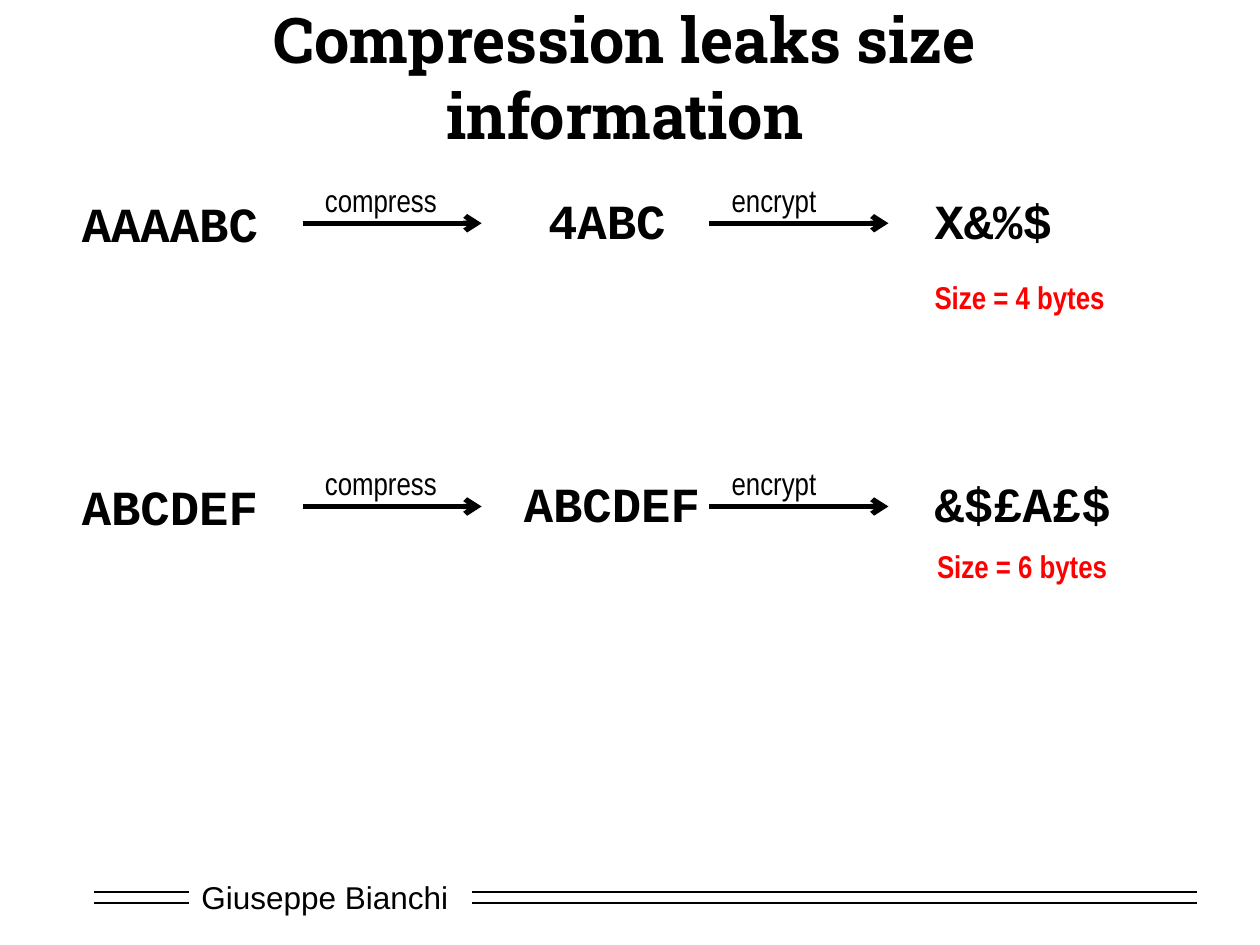
from dataclasses import dataclass

from lxml import etree
from pptx import Presentation
from pptx.dml.color import RGBColor
from pptx.enum.shapes import MSO_CONNECTOR
from pptx.enum.text import MSO_ANCHOR, MSO_AUTO_SIZE, PP_ALIGN
from pptx.oxml.ns import qn
from pptx.util import Cm, Pt

STRAIGHT = MSO_CONNECTOR.STRAIGHT
MIDDLE = MSO_ANCHOR.MIDDLE
CENTER = PP_ALIGN.CENTER
NO_AUTOFIT = MSO_AUTO_SIZE.NONE

BLACK, WHITE, RED = "000000", "FFFFFF", "FF0000"
TITLE_ONLY = 5


@dataclass(frozen=True)
class Style:
    font: str
    size: int
    bold: bool = False
    color: str = BLACK
    height: float = 1.02


@dataclass(frozen=True)
class Example:
    """One message followed through compression and encryption."""
    arrow_y: float
    message: str
    compressed: str
    compressed_x: float
    encrypted: str
    size_note: str
    note_x: float
    note_y: float


TITLE = Style("Roboto Slab", 36, bold=True)
FOOTER = Style("Arial", 18)
CODE = Style("Courier New", 28, bold=True, height=1.45)
STEP = Style("Arial Narrow", 18)
NOTE = Style("Arial Narrow", 18, bold=True, color=RED)

CODE_CHAR_WIDTH = 0.593
CODE_PADDING = 0.53
ARROW_LENGTH = 3.61
# name, arrow start, label width
STEPS = (("compress", 6.1, 3.0), ("encrypt", 14.3, 2.51))
EXAMPLES = (
    Example(4.5, "AAAABC", "4ABC", 10.8, "X&%$", "Size = 4 bytes", 18.59, 5.49),
    Example(10.21, "ABCDEF", "ABCDEF", 10.31, "&$£A£$", "Size = 6 bytes", 18.64, 10.9),
)


def rgb(color: str) -> RGBColor:
    return RGBColor.from_string(color)


def style_paragraph(para, style: Style) -> None:
    para.font.name = style.font
    para.font.size = Pt(style.size)
    para.font.bold = style.bold
    para.font.color.rgb = rgb(style.color)


def add_text(slide, text: str, left: float, top: float, width: float, style: Style):
    box = slide.shapes.add_textbox(Cm(left), Cm(top), Cm(width), Cm(style.height))
    box.text_frame.word_wrap = False
    para = box.text_frame.paragraphs[0]
    para.text = text
    style_paragraph(para, style)
    return box


def add_code(slide, text: str, left: float, top: float) -> None:
    width = len(text) * CODE_CHAR_WIDTH + CODE_PADDING
    add_text(slide, text, left, top, width, CODE)


def add_line(slide, start: float, end: float, y: float, weight: float, arrow: bool = False) -> None:
    line = slide.shapes.add_connector(STRAIGHT, Cm(start), Cm(y), Cm(end), Cm(y))
    line.line.color.rgb = rgb(BLACK)
    line.line.width = Pt(weight)
    properties = line.line._get_or_add_ln()
    if arrow:
        etree.SubElement(properties, qn("a:tailEnd"), type="arrow")
    etree.SubElement(properties.getparent(), qn("a:effectLst"))


def add_footer(slide) -> None:
    box = add_text(slide, "Giuseppe Bianchi", 3.81, 17.58, 5.51, FOOTER)
    box.fill.solid()
    box.fill.fore_color.rgb = rgb(WHITE)
    box.text_frame.vertical_anchor = MIDDLE
    for y in (17.98, 18.21):
        for start, end in ((1.9, 3.81), (9.52, 24.13)):
            add_line(slide, start, end, y, 1)


def set_title(slide, text: str) -> None:
    title = slide.shapes.title
    title.left, title.top, title.width, title.height = Cm(1.9), Cm(0.64), Cm(21.39), Cm(1.8)
    frame = title.text_frame
    frame.text = text
    frame.word_wrap = True
    frame.auto_size = NO_AUTOFIT
    frame.vertical_anchor = MIDDLE
    para = frame.paragraphs[0]
    para.alignment = CENTER
    style_paragraph(para, TITLE)


def add_example(slide, example: Example) -> None:
    y = example.arrow_y
    add_code(slide, example.message, 1.4, y - 0.73)
    add_code(slide, example.compressed, example.compressed_x, y - 0.78)
    add_code(slide, example.encrypted, 18.59, y - 0.78)
    for name, start, width in STEPS:
        add_line(slide, start, start + ARROW_LENGTH, y, 3, arrow=True)
        add_text(slide, name, start + 0.2, y - 0.98, width, STEP)
    add_text(slide, example.size_note, example.note_x, example.note_y, 4.06, NOTE)


def main() -> None:
    deck = Presentation()
    deck.slide_width, deck.slide_height = Cm(25.4), Cm(19.05)
    slide = deck.slides.add_slide(deck.slide_layouts[TITLE_ONLY])
    add_footer(slide)
    set_title(slide, "Compression leaks size information")
    for example in EXAMPLES:
        add_example(slide, example)
    deck.save("out.pptx")


if __name__ == "__main__":
    main()
